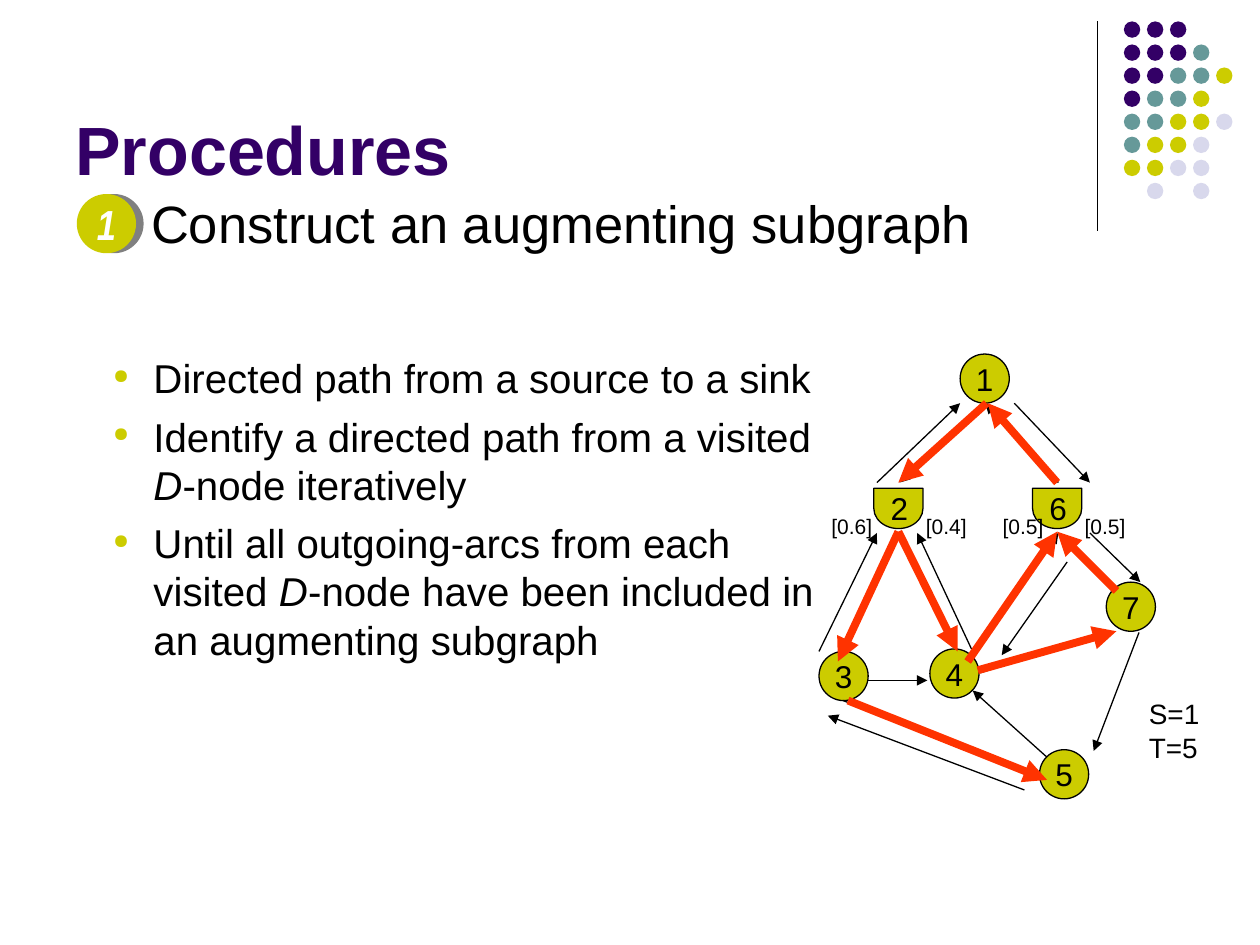
"""Build the slide on augmenting subgraphs on a grid of 100 columns by 75 rows."""
from lxml.etree import SubElement
from pptx import Presentation
from pptx.dml.color import RGBColor
from pptx.enum.shapes import MSO_CONNECTOR, MSO_SHAPE
from pptx.enum.text import MSO_ANCHOR, MSO_AUTO_SIZE, PP_ALIGN
from pptx.oxml.ns import qn
from pptx.util import Inches, Pt

BLACK, WHITE, GREY, RED = "000000", "FFFFFF", "808080", "FF3300"
PURPLE, TEAL, LIME, PALE = "330066", "669999", "CCCC00", "D8D8EC"
CELL = Inches(10) / 100
NODE, DELAY, DISC = 3.9, 3.2, 4.7

DOT_COLORS = {"P": PURPLE, "T": TEAL, "Y": LIME, "L": PALE}
DOT_ROWS = ["PPP", "PPPT", "PPTTY", "PTTY", "TTYYL", "TYYL", "YYLL", " L L"]
DOT_LEFT, DOT_TOP, DOT_STEP, DOT_SIZE = 89.2, 1.7, 1.83, 1.3

BULLETS = [
    [("Directed path from a source to a sink", False)],
    [("Identify a directed path from a visited ", False), ("D", True),
     ("-node iteratively", False)],
    [("Until all outgoing-arcs from each visited ", False), ("D", True),
     ("-node have been included in an augmenting subgraph", False)],
]
NODES = [("1", 76.2, 28.1), ("3", 65, 51.7), ("4", 73.8, 51.5),
         ("5", 82.5, 59.5), ("7", 87.8, 46.2)]
DELAY_NODES = [("2", 69.7, 38.4), ("6", 82.3, 38.4)]
SHARES = [("[0.6]", 65), ("[0.4]", 72.5), ("[0.5]", 78.6), ("[0.5]", 85.1)]
ARCS = [
    (78.2, 32, 71.4, 38.3), (71.4, 42.3, 66.9, 51.7), (71.4, 42.3, 75.8, 51.5),
    (84, 38.3, 78.2, 32), (87.9, 46.2, 84, 42.3), (77.2, 52, 84, 42.3),
    (77.8, 53.4, 87.9, 50.2), (83.1, 60.1, 77.2, 54.8), (66.9, 55.6, 82.5, 61.5),
    (69.6, 38.3, 76.2, 32), (65, 51.7, 69.6, 42.3), (77.1, 51.5, 72.8, 42.3),
    (80.5, 32, 86.5, 38.3), (86.5, 42.3, 90.5, 46.2), (84.7, 44.6, 79.5, 52),
    (90.4, 50.2, 86.8, 59.6), (81.3, 62.7, 65.7, 56.8), (68.9, 54, 73.6, 54),
]
PATH_ARCS = [
    (78.3, 32, 71.3, 38.3), (71.3, 42.2, 66.5, 52.5), (67.3, 55.6, 83.1, 61.9),
    (71.3, 42.2, 76, 51.7), (76.8, 52.5, 83.9, 42.2), (83.9, 38.3, 78.4, 32),
    (88.6, 46.9, 83.9, 42.2), (77.6, 53.2, 88.6, 50.1),
]


def rgb(color):
    """Turn a hex string into a colour."""
    return RGBColor.from_string(color)


def grid(*cells):
    """Turn grid cells into slide lengths."""
    return [round(c * CELL) for c in cells]


def add_run(p, text, size, color=BLACK, font="Arial", bold=False, italic=False):
    """Add one formatted run to a paragraph."""
    r = p.add_run()
    r.text = text
    r.font.size, r.font.name = Pt(size), font
    r.font.bold, r.font.italic = bold, italic
    r.font.color.rgb = rgb(color)


def add_text(s, box, lines, size, wrap=False, anchor=MSO_ANCHOR.TOP, **style):
    """Add a text box with one paragraph a line, growing to fit unless it wraps."""
    tf = s.shapes.add_textbox(*grid(*box)).text_frame
    tf.word_wrap, tf.vertical_anchor = wrap, anchor
    tf.auto_size = MSO_AUTO_SIZE.NONE if wrap else MSO_AUTO_SIZE.SHAPE_TO_FIT_TEXT
    for i, line in enumerate(lines):
        p = tf.add_paragraph() if i else tf.paragraphs[0]
        add_run(p, line, size, **style)


def add_filled(s, kind, box, fill, outline=None):
    """Add a flat preset shape."""
    sp = s.shapes.add_shape(kind, *grid(*box))
    sp.shadow.inherit = False
    sp.fill.solid()
    sp.fill.fore_color.rgb = rgb(fill)
    if outline:
        sp.line.color.rgb, sp.line.width = rgb(outline), Pt(0.75)
    else:
        sp.line.fill.background()
    return sp


def add_line(s, ends, color=BLACK, width=0.75, arrow=True):
    """Add a straight line, with an arrowhead at its end if wanted."""
    c = s.shapes.add_connector(MSO_CONNECTOR.STRAIGHT, *grid(*ends))
    c.line.color.rgb, c.line.width = rgb(color), Pt(width)
    if arrow:
        SubElement(c.line._get_or_add_ln(), qn("a:tailEnd"), type="triangle")
    SubElement(c._element.spPr, qn("a:effectLst"))


def add_dots(s):
    """Add the corner rule and its pattern of dots."""
    add_line(s, (87.1, 1.7, 87.1, 18.3), arrow=False)
    for row, codes in enumerate(DOT_ROWS):
        for col, code in enumerate(codes):
            if code in DOT_COLORS:
                box = (DOT_LEFT + col * DOT_STEP, DOT_TOP + row * DOT_STEP,
                       DOT_SIZE, DOT_SIZE)
                add_filled(s, MSO_SHAPE.OVAL, box, DOT_COLORS[code])


def add_heading(s):
    """Add the title, the numbered disc and the step it names."""
    add_text(s, (5, 1.3, 82.5, 14.2), ["Procedures"], 39, wrap=True,
             anchor=MSO_ANCHOR.BOTTOM, color=PURPLE, bold=True)
    add_text(s, (11, 14.7, 83.1, 6), ["Construct an augmenting subgraph"], 30, wrap=True)
    for left, fill in ((6.7, GREY), (6.1, LIME)):
        add_filled(s, MSO_SHAPE.OVAL, (left, 15.4, DISC, DISC), fill)
    add_text(s, (6.7, 15.3, 3.5, 5), ["1"], 24, color=WHITE,
             font="Arial Narrow", bold=True, italic=True)


def add_bullets(s):
    """Add the bulleted explanation."""
    tf = s.shapes.add_textbox(*grid(8, 27.55, 58.6, 34.1)).text_frame
    tf.word_wrap = True
    for i, runs in enumerate(BULLETS):
        p = tf.add_paragraph() if i else tf.paragraphs[0]
        if i:
            p.space_before = Pt(5.8)
        pPr = p._p.get_or_add_pPr()
        indent = grid(3.2)[0]
        pPr.set("marL", str(indent))
        pPr.set("indent", str(-indent))
        SubElement(SubElement(pPr, qn("a:buClr")), qn("a:srgbClr"), val=LIME)
        SubElement(pPr, qn("a:buSzPct"), val="50000")
        SubElement(pPr, qn("a:buChar"), char="●")
        for text, italic in runs:
            add_run(p, text, 23, italic=italic)


def add_graph(s):
    """Add the nodes, their shares and the arcs of the graph."""
    for name, left, top in NODES:
        sp = add_filled(s, MSO_SHAPE.OVAL, (left, top, NODE, NODE), LIME, BLACK)
        tf = sp.text_frame
        tf.word_wrap, tf.vertical_anchor = False, MSO_ANCHOR.MIDDLE
        tf.paragraphs[0].alignment = PP_ALIGN.CENTER
        add_run(tf.paragraphs[0], name, 18)
    for name, left, top in DELAY_NODES:
        sp = add_filled(s, MSO_SHAPE.FLOWCHART_DELAY, (left, top, DELAY, NODE), LIME, BLACK)
        sp.rotation = 90
        add_text(s, (left, top - 0.1, 3.4, 4), [name], 18)
    for share, left in SHARES:
        add_text(s, (left, 40.3, 5.25, 3), [share], 12)
    for ends in ARCS:
        add_line(s, ends)
    for ends in PATH_ARCS:
        add_line(s, ends, RED, 4.5)
    add_text(s, (90.2, 54.8, 6, 6.4), ["S=1", "T=5"], 16)


def main():
    """Build and save the slide."""
    prs = Presentation()
    prs.slide_width, prs.slide_height = grid(100, 75)
    s = prs.slides.add_slide(prs.slide_layouts[6])
    add_dots(s)
    add_heading(s)
    add_graph(s)
    add_bullets(s)
    prs.save("out.pptx")


if __name__ == "__main__":
    main()
